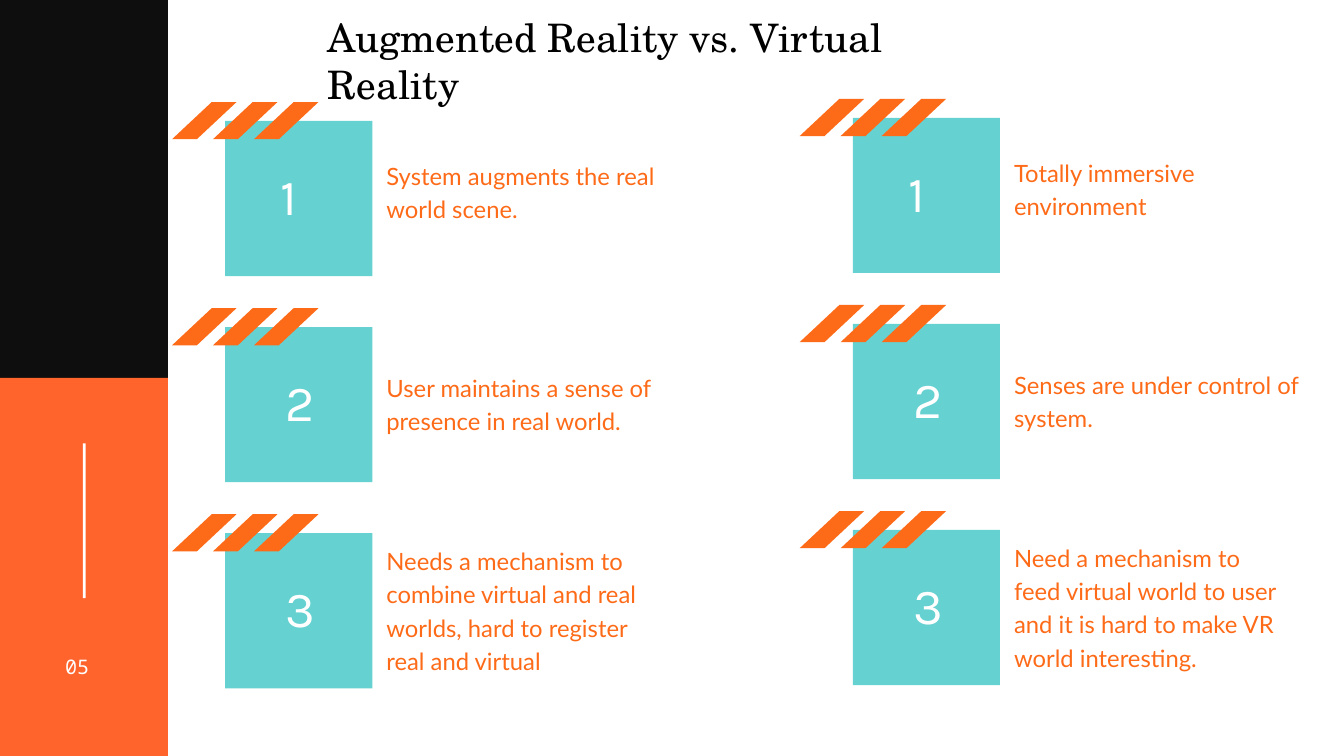
from pptx import Presentation
from pptx.dml.color import RGBColor
from pptx.enum.shapes import MSO_SHAPE
from pptx.enum.text import MSO_ANCHOR, MSO_AUTO_SIZE, PP_ALIGN
from pptx.util import Pt

HUE = {"black": "0E0E0E", "coral": "FF642D", "white": "FFFFFF",
       "title": "000000", "teal": "66D1D1", "orange": "FE6B18"}

TITLE = "Augmented Reality vs. Virtual Reality"
PAGE = "05"
# Each point: text, label width, label height
SIDES = [
    (241.2, 129.6, [
        ("System augments the real world scene.", 294.5, 73.5),
        ("User maintains a sense of presence in real world.", 289.5, 73.5),
        ("Needs a mechanism to combine virtual and real worlds, "
         "hard to register real and virtual", 272.2, 144.7)]),
    (913.7, 126.2, [
        ("Totally immersive environment", 199.5, 73.5),
        ("Senses are under control of system.", 311, 73.5),
        ("Need a mechanism to feed virtual world to user and it is "
         "hard to make VR world interesting.", 281.5, 144.7)]),
]
DROPS = [38, 44.5, 9]
SHIFTS = [59.8, 64.8, 64.8]
PITCH = 220.8
CARD = (157.7, 166.3)

deck = Presentation()
deck.slide_width, deck.slide_height = Pt(1440), Pt(810)
slide = deck.slides.add_slide(deck.slide_layouts[5])
shapes = slide.shapes


def paint(shape, hue):
    shape.shadow.inherit = False
    shape.fill.solid()
    shape.fill.fore_color.rgb = RGBColor.from_string(HUE[hue])
    shape.line.fill.background()


def block(x, y, w, h, hue):
    paint(shapes.add_shape(MSO_SHAPE.RECTANGLE, Pt(x), Pt(y), Pt(w), Pt(h)), hue)


def stripes(x, y, count=3, step=43.9, lean=42.5, thick=26.6, high=39.8):
    pen = None
    for i in range(count):
        left = x + i * step
        start = Pt(left), Pt(y + high)
        if pen is None:
            pen = shapes.build_freeform(*start)
        else:
            pen.move_to(*start)
        pen.add_line_segments([(Pt(left + lean), Pt(y)),
                               (Pt(left + lean + thick), Pt(y)),
                               (Pt(left + thick), Pt(y + high))], close=True)
    paint(pen.convert_to_shape(), "orange")


def write(text, x, y, w, h, *, font, size, hue, lead=None, inset=1, box=None):
    """Put formatted text in a new text box or a given placeholder."""
    if box is None:
        box = shapes.add_textbox(Pt(x), Pt(y), Pt(w), Pt(h))
    box.left, box.top, box.width, box.height = Pt(x), Pt(y), Pt(w), Pt(h)
    frame = box.text_frame
    frame.word_wrap = True
    frame.auto_size = MSO_AUTO_SIZE.NONE
    frame.vertical_anchor = MSO_ANCHOR.TOP
    frame.margin_left = frame.margin_right = frame.margin_bottom = 0
    frame.margin_top = Pt(inset)
    para = frame.paragraphs[0]
    para.alignment = PP_ALIGN.LEFT
    if lead:
        para.line_spacing = lead
    run = para.add_run()
    run.text = text
    run.font.name, run.font.size = font, Pt(size)
    run.font.color.rgb = RGBColor.from_string(HUE[hue])


block(0, 0, 180, 405, "black")
block(0, 405, 180, 405, "coral")
block(88.8, 475.2, 3, 165.6, "white")
write(PAGE, 69.8, 700.6, 41.8, 28, font="Noto Sans Mono", size=21.5, hue="white")
write(TITLE, 351.4, 13, 730, 52.6, font="TeX Gyre Schola", size=42,
      hue="title", box=shapes.title)

for left, top, points in SIDES:
    for i, (text, wide, high) in enumerate(points):
        y = top + i * PITCH
        block(left, y, *CARD, "teal")
        write(str(i + 1), left + SHIFTS[i], y + 45.7, 38.2, 67,
              font="Karla", size=54, hue="white", inset=1.5)
        stripes(left - 56.9, y - 20.2)
        write(text, left + 172.8, y + DROPS[i], wide, high,
              font="Lato", size=25.5, hue="orange", lead=1.16)

deck.save("out.pptx")
